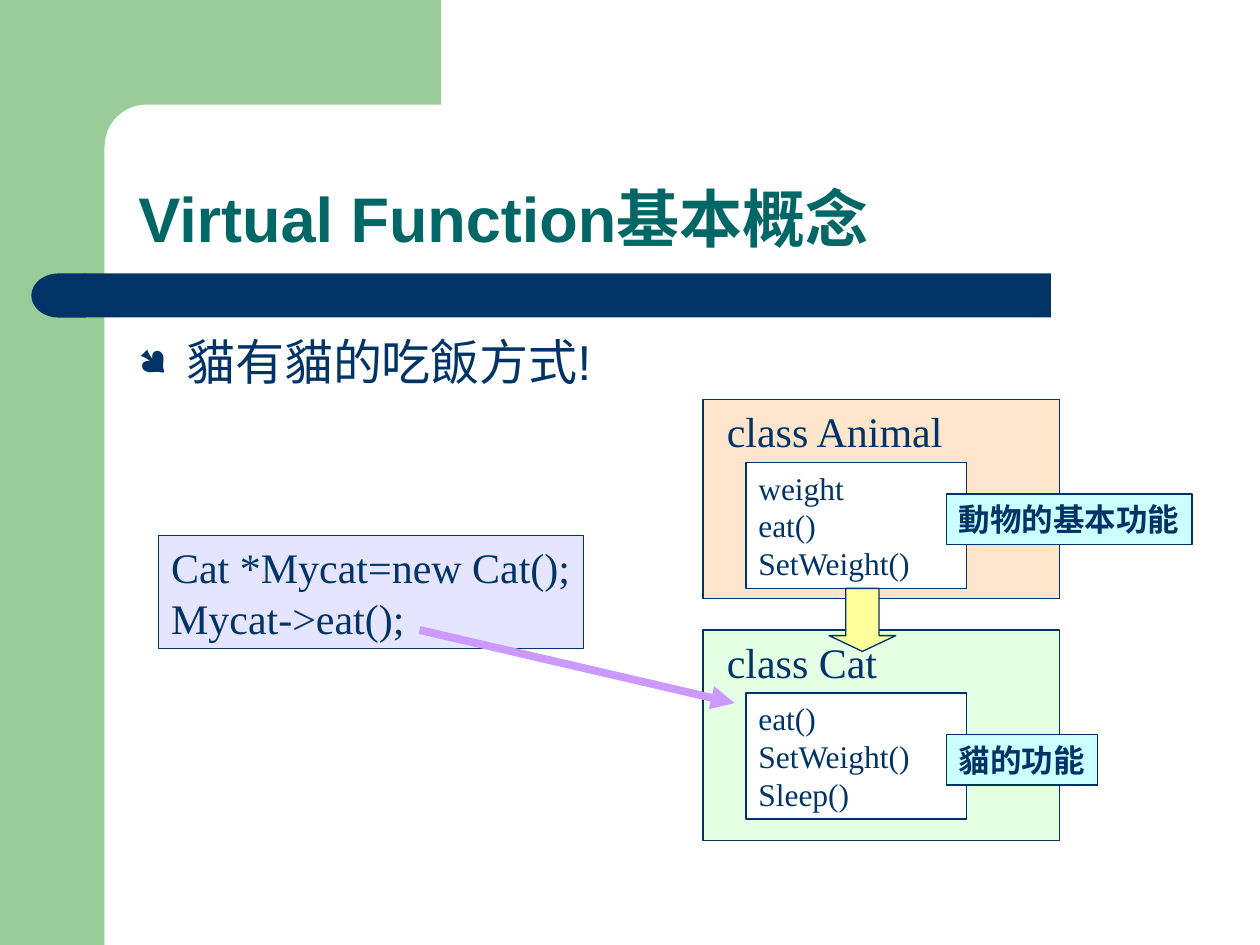
from lxml.etree import SubElement
from pptx import Presentation
from pptx.dml.color import RGBColor
from pptx.enum.shapes import MSO_CONNECTOR, MSO_SHAPE as SHAPE
from pptx.enum.text import MSO_ANCHOR as ANCHOR, MSO_AUTO_SIZE as AUTO_SIZE, PP_ALIGN
from pptx.oxml.ns import qn
from pptx.util import Inches, Pt

COLORS = {
    "green": "99CC99", "white": "FFFFFF", "navy": "003366", "teal": "006666",
    "peach": "FFCC99", "mint": "CCFFCC", "cyan": "CCFFFF", "yellow": "FFFF99",
    "lavender": "CCCCFF", "violet": "CC99FF",
}
SERIF = "Times New Roman"

TITLE = "Virtual Function基本概念"
BULLET = "貓有貓的吃飯方式!"
CODE = ["Cat *Mycat=new Cat();", "Mycat->eat();"]
# name, members, note, top, height, fill, name width, note width, note offset
CLASSES = [
    ("class Animal", ["weight", "eat()", "SetWeight()"], "動物的基本功能",
     3.17, 1.58, "peach", 1.93, 1.95, 0.75),
    ("class Cat", ["eat()", "SetWeight()", "Sleep()"], "貓的功能",
     5, 1.67, "mint", 1.4, 1.2, 0.83),
]
# preset, box, fill, adjustment, mirrored
DECOR = [
    (SHAPE.RECTANGLE, (0, 0, 0.83, 7.5), "green", None, False),
    (SHAPE.RECTANGLE, (0.75, 0, 2.75, 1.17), "green", None, False),
    (SHAPE.ROUNDED_RECTANGLE, (0.83, 0.83, 5.58, 0.67), "white", 0.5, False),
    (SHAPE.RECTANGLE, (0.67, 2.17, 7.67, 0.35), "navy", None, False),
    (SHAPE.FLOWCHART_DELAY, (0.25, 2.17, 0.43, 0.35), "navy", None, True),
]

prs = Presentation()
prs.slide_width, prs.slide_height = Inches(10), Inches(7.5)
s = prs.slides.add_slide(prs.slide_layouts[6])


def rgb(name):
    return RGBColor.from_string(COLORS[name])


def add_shape(preset, box, fill, outlined=True, alpha=None):
    sp = s.shapes.add_shape(preset, *map(Inches, box))
    sp.shadow.inherit = False
    sp.fill.solid()
    sp.fill.fore_color.rgb = rgb(fill)
    if alpha:
        color = sp.fill._xPr.find(qn("a:solidFill"))[0]
        SubElement(color, qn("a:alpha"), val=str(alpha * 1000))
    if outlined:
        sp.line.color.rgb = rgb("navy")
        sp.line.width = Pt(0.75)
    else:
        sp.line.fill.background()
    return sp


def add_text_box(box):
    return s.shapes.add_textbox(*map(Inches, box))


def write(sp, lines, size, font=SERIF, color="navy", bold=False, wrap=False,
          anchor=ANCHOR.TOP):
    """Fill a shape with left-aligned lines; unwrapped text sizes its shape."""
    tf = sp.text_frame
    tf.word_wrap = wrap
    tf.auto_size = AUTO_SIZE.NONE if wrap else AUTO_SIZE.SHAPE_TO_FIT_TEXT
    tf.vertical_anchor = anchor
    tf.text = "\n".join(lines)
    for p in tf.paragraphs:
        p.alignment = PP_ALIGN.LEFT
        p.font.size = Pt(size)
        p.font.name = font
        p.font.bold = bold
        p.font.color.rgb = rgb(color)
    return tf.paragraphs[0]


def add_bullet(p, char, indent, percent):
    pPr = p._p.get_or_add_pPr()
    pPr.set("marL", str(Inches(indent)))
    pPr.set("indent", str(-Inches(indent)))
    # The bullet elements come before the paragraph's default run properties.
    bullet_color = pPr.makeelement(qn("a:buClr"))
    SubElement(bullet_color, qn("a:srgbClr"), val=COLORS["navy"])
    bullet_size = pPr.makeelement(qn("a:buSzPct"), val=str(percent * 1000))
    bullet_font = pPr.makeelement(qn("a:buFont"), typeface="Wingdings")
    bullet_char = pPr.makeelement(qn("a:buChar"), char=char)
    default = pPr.find(qn("a:defRPr"))
    for element in (bullet_color, bullet_size, bullet_font, bullet_char):
        default.addprevious(element)


def add_class(name, members, note, top, height, fill, name_w, note_w, note_dy):
    add_shape(SHAPE.RECTANGLE, (5.58, top, 2.83, height), fill, alpha=50)
    write(add_text_box((5.67, top, name_w, 0.5)), [name], 24)
    body = add_shape(SHAPE.RECTANGLE, (5.92, top + 0.5, 1.75, 1), "white")
    write(body, members, 18, wrap=True)
    label = add_shape(SHAPE.RECTANGLE, (7.51, top + note_dy, note_w, 0.4), "cyan")
    write(label, [note], 18, bold=True)


for preset, box, fill, adjustment, mirrored in DECOR:
    sp = add_shape(preset, box, fill, outlined=False)
    if adjustment is not None:
        sp.adjustments[0] = adjustment
    if mirrored:
        sp._element.spPr.find(qn("a:xfrm")).set("flipH", "1")

p = write(add_text_box((1, 0.83, 8.75, 1.25)), [TITLE], 36, "Arial", "teal",
          bold=True, wrap=True, anchor=ANCHOR.BOTTOM)
p.line_spacing = 0.9

p = write(add_text_box((1, 2.58, 8.75, 4.08)), [BULLET], 28, "Arial", wrap=True)
p.space_before = Pt(7)
add_bullet(p, "●", 0.38, 75)

for item in CLASSES:
    add_class(*item)

arrow = add_shape(SHAPE.DOWN_ARROW, (6.58, 4.67, 0.53, 0.5), "yellow")
arrow.adjustments[0], arrow.adjustments[1] = 0.5, 0.25

code = add_shape(SHAPE.RECTANGLE, (1.26, 4.25, 3.37, 0.9), "lavender", alpha=50)
write(code, CODE, 24)

call = s.shapes.add_connector(MSO_CONNECTOR.STRAIGHT,
                              *map(Inches, (3.33, 5, 5.83, 5.58)))
call.line.color.rgb = rgb("violet")
call.line.width = Pt(4.5)
SubElement(call.line._get_or_add_ln(), qn("a:tailEnd"), type="triangle")
SubElement(call._element.spPr, qn("a:effectLst"))

prs.save("out.pptx")
